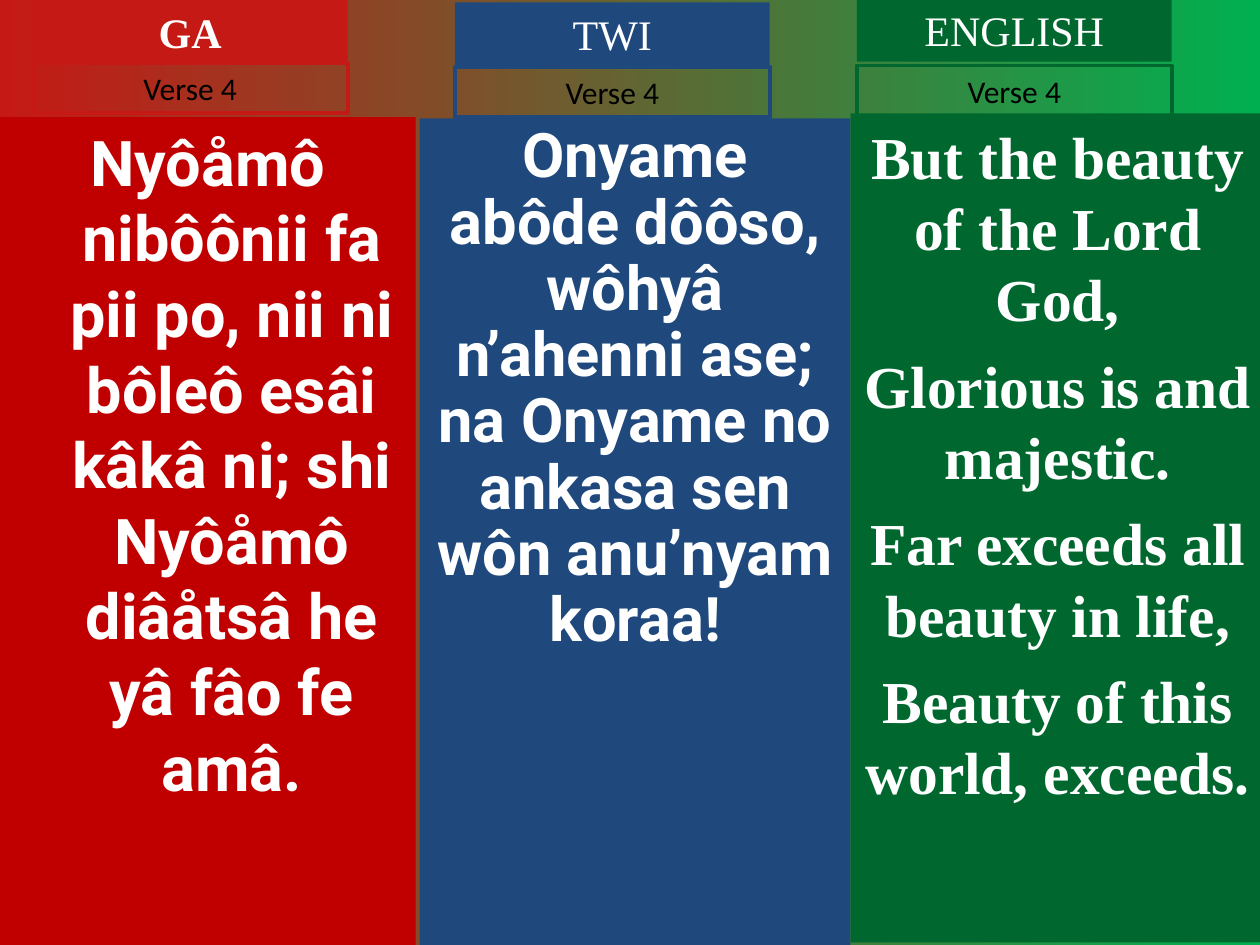
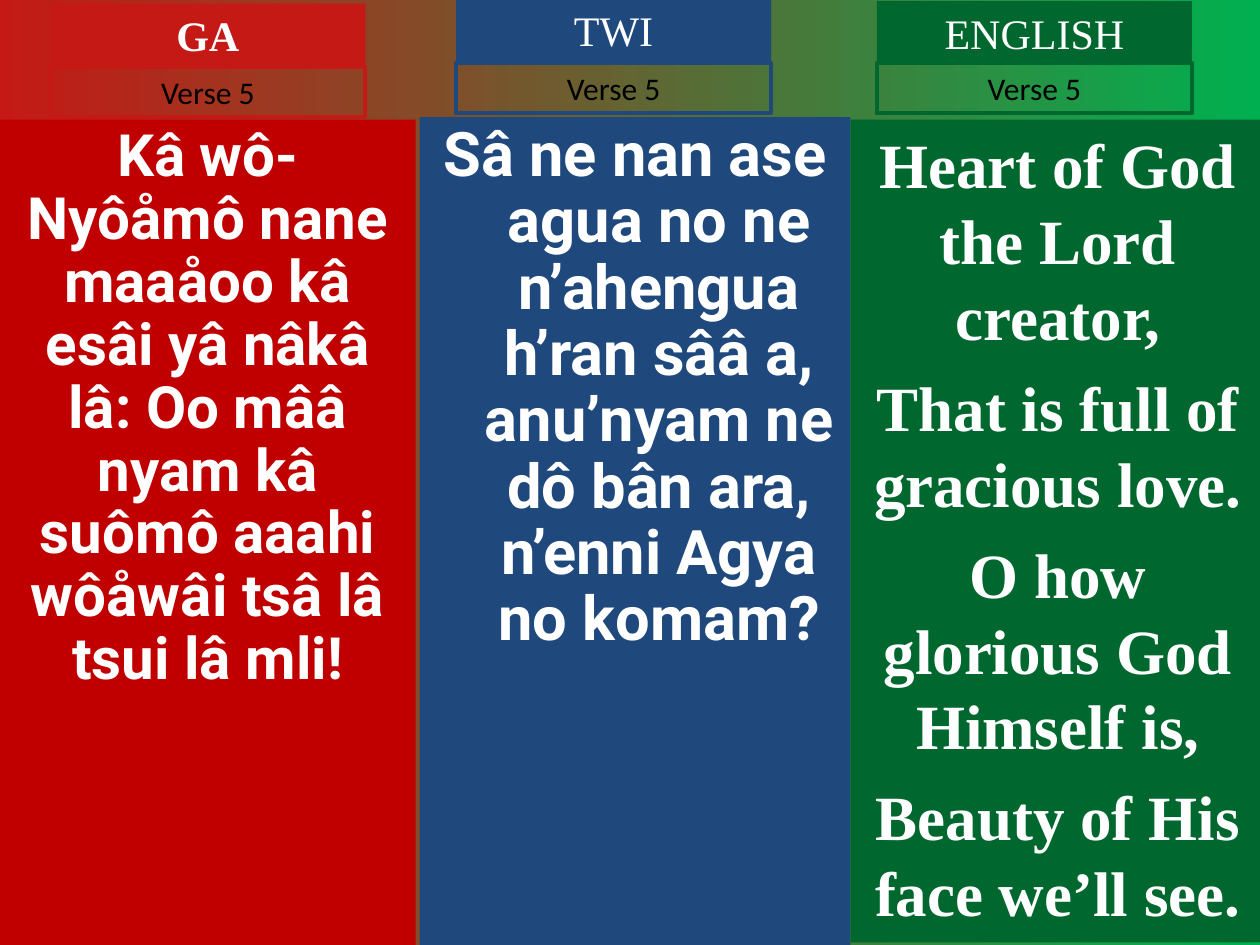
from pptx import Presentation
from pptx.dml.color import RGBColor
from pptx.enum import shapes, text
from pptx.util import Inches, Pt

HUES = {
    "ga": "C51915", "twi": "1F497D", "english": "00682F",
    "ga panel": "C00000", "end": "00B050", "white": "FFFFFF", "black": "000000",
}
SERIF, SANS, LABEL = "Times New Roman", "Roboto", "Calibri"
HEAD_W, HEAD_H, VERSE_H = 2.5, 0.5, 0.4
INSET, HANG = 0.05, 0.38

# Each tongue: panel left and width, panel colour, verse font, bold heading
TONGUES = {
    "ga": (0, 3.3, "ga panel", SANS, True),
    "twi": (3.33, 3.42, "twi", SANS, False),
    "english": (6.75, 3.29, "english", SERIF, False),
}

# Each column: heading left and top, verse label top, panel top and bottom,
# text size, line spacing, space between lines, hanging indent, lines
VERSES = [
    ("Verse 4", {
        "ga": (0.26, 0, 0.5, 0.93, 7.5, 36, 1, 9, HANG, [
            "Nyôåmô nibôônii fa pii po, nii ni bôleô esâi kâkâ ni; "
            "shi Nyôåmô diâåtsâ he yâ fâo fe amâ."]),
        "twi": (3.61, 0.02, 0.53, 0.94, 7.5, 35.1, 0.9, 9.5, 0, [
            "Onyame abôde dôôso, wôhyâ n’ahenni ase; "
            "na Onyame no ankasa sen wôn anu’nyam koraa!"]),
        "english": (6.8, -0.01, 0.52, 0.9, 7.48, 34, 1, 8.5, 0, [
            "But the beauty of the Lord God,",
            "Glorious is and majestic.",
            "Far exceeds all beauty in life,",
            "Beauty of this world, exceeds."]),
    }),
    ("Verse 5", {
        "ga": (0.4, 0.03, 0.53, 0.95, 7.5, 33.3, 0.9, 9, 0, [
            "Kâ wô-Nyôåmô nane maaåoo kâ esâi yâ nâkâ lâ: "
            "Oo mââ nyam kâ suômô aaahi wôåwâi tsâ lâ tsui lâ mli!"]),
        "twi": (3.62, -0.01, 0.5, 0.93, 7.5, 35.1, 0.9, 9.5, HANG, [
            "Sâ ne nan ase agua no ne n’ahengua h’ran sââ a, "
            "anu’nyam ne dô bân ara, n’enni Agya no komam?"]),
        "english": (6.96, 0.01, 0.5, 0.95, 7.48, 36, 1, 9, 0, [
            "Heart of God the Lord creator,",
            "That is full of gracious love.",
            "O how glorious God Himself is,",
            "Beauty of His face we’ll see."]),
    }),
]


def color(name):
    return RGBColor.from_string(HUES[name])


def add_box(slide, at, lines, size, font, ink="white", bold=False, fill=None,
            edge=None, spacing=1, gap=0, hang=0):
    box = slide.shapes.add_shape(shapes.MSO_SHAPE.RECTANGLE, *map(Inches, at))
    box.shadow.inherit = False
    if fill:
        box.fill.solid()
        box.fill.fore_color.rgb = color(fill)
    else:
        box.fill.background()
    if edge:
        box.line.color.rgb = color(edge)
        box.line.width = Pt(2.25)
    else:
        box.line.fill.background()
    frame = box.text_frame
    frame.word_wrap = True
    frame.vertical_anchor = text.MSO_ANCHOR.TOP
    frame.margin_top = frame.margin_bottom = Inches(INSET)
    for i, line in enumerate(lines):
        par = frame.paragraphs[0] if i == 0 else frame.add_paragraph()
        par.text = line
        par.alignment = text.PP_ALIGN.CENTER
        par.line_spacing = float(spacing)
        par.space_before = Pt(gap if i else 0)
        if hang:
            props = par._p.get_or_add_pPr()
            props.set("marL", str(Inches(hang)))
            props.set("indent", str(Inches(-hang)))
        par.font.name, par.font.size, par.font.bold = font, Pt(size), bold
        par.font.color.rgb = color(ink)


def add_column(slide, verse, tongue, column):
    left, wide, panel, font, bold = TONGUES[tongue]
    x, head, label, top, bottom, size, spacing, gap, hang, lines = column
    add_box(slide, (left, top, wide, bottom - top), lines, size, font,
            bold=True, fill=panel, spacing=spacing, gap=gap, hang=hang)
    add_box(slide, (x, head, HEAD_W, HEAD_H), [tongue.upper()], 24, SERIF,
            bold=bold, fill=tongue)
    add_box(slide, (x, label, HEAD_W, VERSE_H), [verse], 18, LABEL,
            ink="black", edge=tongue)


def main():
    deck = Presentation()
    deck.slide_width, deck.slide_height = Inches(10), Inches(7.5)
    for verse, columns in VERSES:
        slide = deck.slides.add_slide(deck.slide_layouts[6])
        back = slide.background.fill
        back.gradient()
        back.gradient_angle = 0
        for stop, name in zip(back.gradient_stops, ("ga", "end")):
            stop.color.rgb = color(name)
        for tongue, column in columns.items():
            add_column(slide, verse, tongue, column)
    deck.save("out.pptx")


if __name__ == "__main__":
    main()
